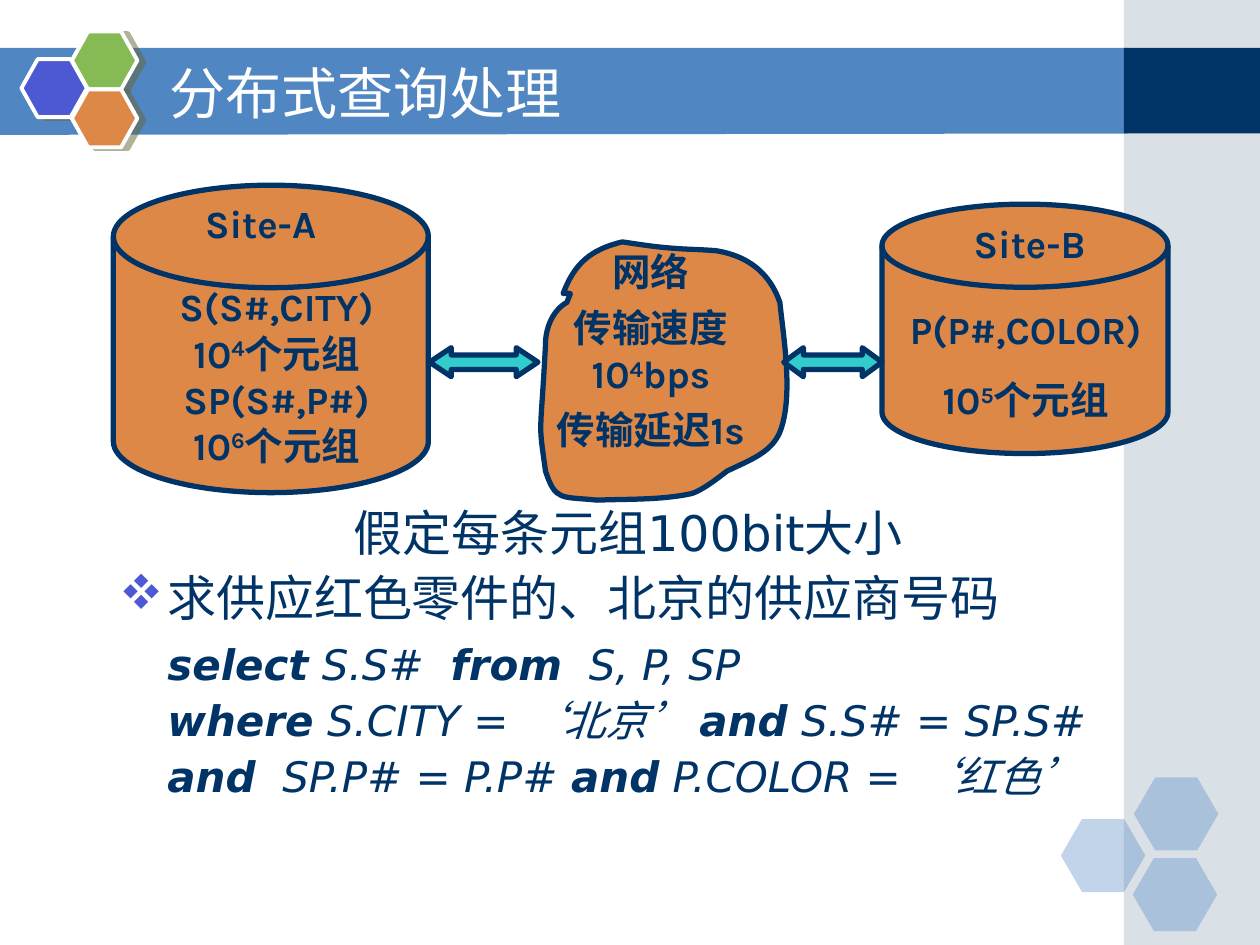
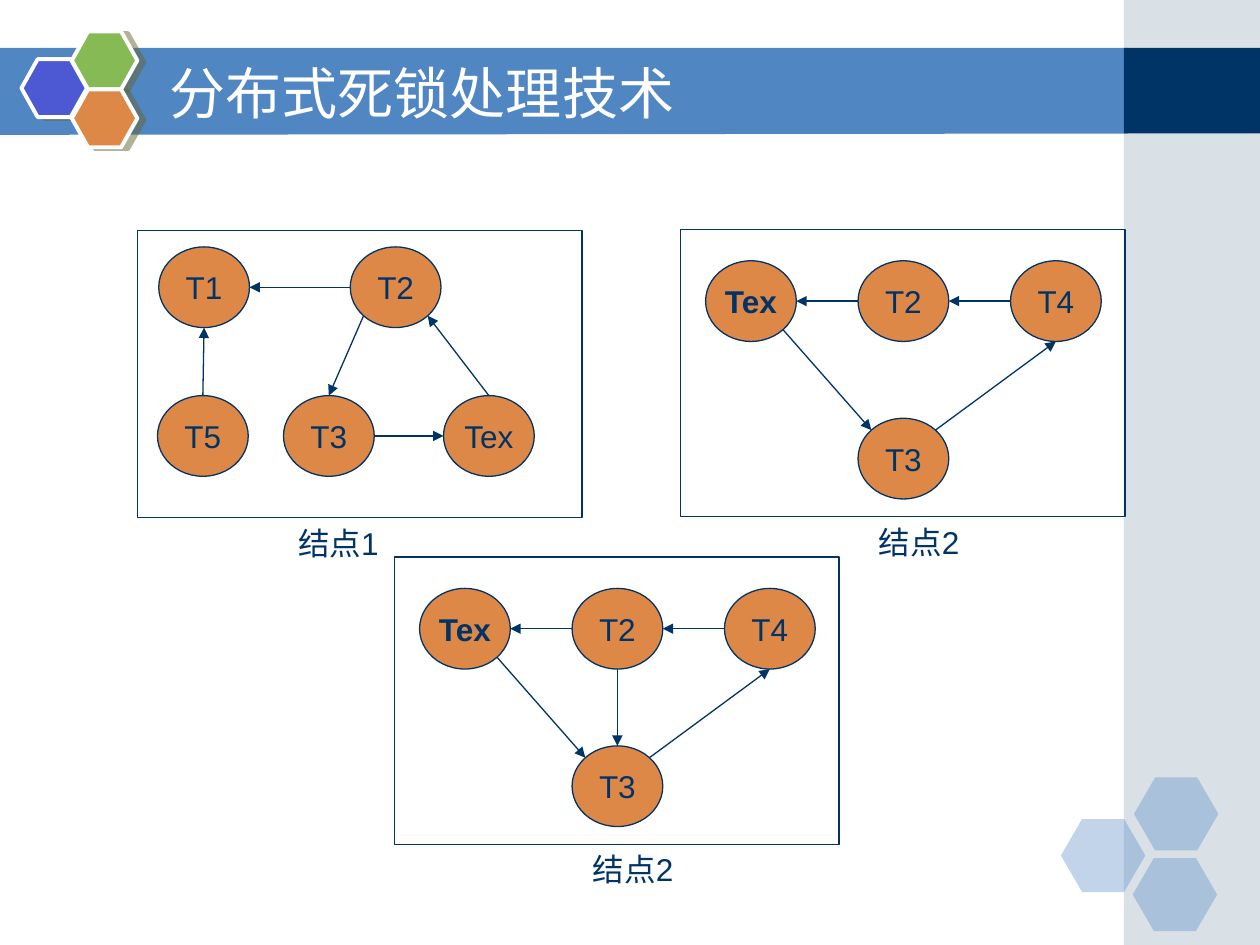
from lxml import etree
from pptx import Presentation
from pptx import util as u
from pptx.dml import color
from pptx.enum import lang, shapes, text
from pptx.oxml import ns

SHAPE = shapes.MSO_SHAPE
MIDDLE = text.MSO_ANCHOR.MIDDLE
CENTER = text.PP_ALIGN.CENTER
NAVY, BLUE, ORANGE, WHITE = "003366", "5086C2", "DE8848", "FFFFFF"
INDIGO, GREEN, TEAL, MIST, OLIVE = "4C59D2", "85BA54", "33CCCC", "A0B5C4", "666633"
NODE_W, NODE_H = 0.72, 0.64
DIAG = 0.5 ** 0.5
SITES = {"N": (0, -1), "E": (1, 0), "S": (0, 1), "W": (-1, 0),
         "NE": (DIAG, -DIAG), "SE": (DIAG, DIAG),
         "SW": (-DIAG, DIAG), "NW": (-DIAG, -DIAG)}


def rgb(value):
    return color.RGBColor.from_string(value)


def child(parent, tag, **attrs):
    return etree.SubElement(parent, ns.qn(tag), attrs)


class Deck:
    """Draws styled elements on the current slide."""

    def __init__(self):
        self.prs = Presentation()
        self.prs.slide_width, self.prs.slide_height = u.Inches(10), u.Inches(7.5)
        self.s = None

    def slide(self, title):
        self.s = self.prs.slides.add_slide(self.prs.slide_layouts[6])
        self.freeform([(-0.01, 0.38), (8.95, 0.38), (8.95, 1.06), (-0.01, 1.07)], BLUE)
        self.shape(SHAPE.RECTANGLE, (8.92, 0, 1.08, 7.5), MIST, alpha=40)
        self.shape(SHAPE.RECTANGLE, (8.92, 0.38, 1.08, 0.68), NAVY)
        for x, y in ((8.42, 6.5), (9, 6.17), (8.99, 6.81)):
            self.shape(SHAPE.HEXAGON, (x, y, 0.67, 0.58), BLUE, alpha=35, adj=[0.29])
        for x, y, fill in ((0.17, 0.47, INDIGO), (0.57, 0.25, GREEN), (0.57, 0.71, ORANGE)):
            sp = self.shape(SHAPE.HEXAGON, (x, y, 0.52, 0.46), fill, WHITE, 2.25, adj=[0.28])
            self.cast_shadow(sp)
        self.text((1.25, 0.42, 7.33, 0.62), [[(title, "")]], 32, "DejaVu Sans",
                  WHITE, anchor=MIDDLE)

    def paint(self, sp, fill=None, line=None, width=0.75, alpha=None):
        sp.shadow.inherit = False
        if fill:
            sp.fill.solid()
            sp.fill.fore_color.rgb = rgb(fill)
        else:
            sp.fill.background()
        if alpha:
            clr = sp.fill._xPr.find(".//" + ns.qn("a:srgbClr"))
            child(clr, "a:alpha", val=str(alpha * 1000))
        if line:
            sp.line.color.rgb = rgb(line)
            sp.line.width = u.Pt(width)
        else:
            sp.line.fill.background()
        return sp

    def shape(self, kind, box, fill=None, line=None, width=0.75, alpha=None, adj=()):
        sp = self.s.shapes.add_shape(kind, *map(u.Inches, box))
        for i, value in enumerate(adj):
            sp.adjustments[i] = value
        return self.paint(sp, fill, line, width, alpha)

    def cast_shadow(self, sp):
        effects = sp._element.spPr.find(ns.qn("a:effectLst"))
        shadow = child(effects, "a:outerShdw", dist=str(u.Pt(4.1)),
                       dir=str(14 * 60000), algn="ctr", rotWithShape="0")
        clr = child(shadow, "a:srgbClr", val=OLIVE)
        child(clr, "a:alpha", val="50000")

    def freeform(self, points, fill, line=None, width=0.75):
        pts = [(u.Inches(x), u.Inches(y)) for x, y in points]
        fb = self.s.shapes.build_freeform(*pts[0])
        fb.add_line_segments(pts[1:], close=False)
        sp = fb.convert_to_shape()
        child(sp._element.spPr.find(".//" + ns.qn("a:path")), "a:close")
        return self.paint(sp, fill, line, width)

    def curved(self, points, fill, line, width):
        sp = self.freeform(points, fill, line, width)
        segments = list(sp._element.spPr.iter(ns.qn("a:lnTo")))
        for i in range(0, len(segments), 3):
            curve = etree.Element(ns.qn("a:cubicBezTo"))
            segments[i].addprevious(curve)
            for segment in segments[i:i + 3]:
                curve.append(segment[0])
                segment.getparent().remove(segment)

    def arrow(self, start, end):
        cn = self.s.shapes.add_connector(shapes.MSO_CONNECTOR.STRAIGHT,
                                         *map(u.Inches, start + end))
        cn.line.color.rgb = rgb(NAVY)
        cn.line.width = u.Pt(0.75)
        child(cn.line._get_or_add_ln(), "a:tailEnd", type="triangle")
        child(cn._element.spPr, "a:effectLst")

    def text(self, box, paras, size, font, fill=NAVY, align=None, before=0, anchor=None):
        tf = self.s.shapes.add_textbox(*map(u.Inches, box)).text_frame
        tf.word_wrap = True
        if anchor:
            tf.vertical_anchor = anchor
        for i, runs in enumerate(paras):
            p = tf.add_paragraph() if i else tf.paragraphs[0]
            self.paragraph(p, runs, size, font, fill, align, before)
        return tf

    def paragraph(self, p, runs, size, font, fill=NAVY, align=None, before=0):
        p.alignment = align
        p.space_before = u.Pt(before)
        for words, marks in runs:
            r = p.add_run()
            r.text = words
            r.font.name, r.font.size = font, u.Pt(size)
            r.font.color.rgb = rgb(fill)
            r.font.bold, r.font.italic = "b" in marks, "i" in marks
            r.font.language_id = lang.MSO_LANGUAGE_ID.SIMPLIFIED_CHINESE
            if "^" in marks:
                r._r.get_or_add_rPr().set("baseline", "30000")

    def label(self, box, paras, align=CENTER, before=0):
        bold = [[(words, marks + "b") for words, marks in runs] for runs in paras]
        self.text(box, bold, 22, "Karla", align=align, before=before)

    def query(self, box, assumption, question, lines):
        tf = self.text(box, [[(assumption, "")]], 28, "DejaVu Sans", align=CENTER, before=3.5)
        self.paragraph(tf.add_paragraph(), [(question, "")], 28, "DejaVu Sans", before=7)
        for i, runs in enumerate(lines):
            self.paragraph(tf.add_paragraph(), runs, 24, "DejaVu Sans", before=6 if i else 10)
        for i, p in enumerate(tf.paragraphs):
            p.line_spacing = 0.9
            pPr = p._p.get_or_add_pPr()
            if i:
                pPr.set("marL", str(u.Inches(0.38)))
            if i == 1:
                pPr.set("indent", str(u.Inches(-0.38)))
                child(child(pPr, "a:buClr"), "a:srgbClr", val=INDIGO)
                child(pPr, "a:buFont", typeface="Wingdings", charset="2")
                child(pPr, "a:buChar", char="v")

    def node(self, x, y, name, bold):
        sp = self.shape(SHAPE.OVAL, (x, y, NODE_W, NODE_H), ORANGE, NAVY)
        tf = sp.text_frame
        tf.word_wrap = False
        tf.vertical_anchor = MIDDLE
        self.paragraph(tf.paragraphs[0], [(name, "b" if bold else "")], 18, "Arial",
                       align=CENTER)

    def wait_graph(self, left, top, nodes, edges, caption, caption_dx, bold=()):
        self.shape(SHAPE.RECTANGLE, (left, top, 3.53, 2.28), line=NAVY)
        for name, (x, y) in nodes.items():
            self.node(left + x, top + y, name, name in bold)

        def site(name, side):
            (x, y), (dx, dy) = nodes[name], SITES[side]
            return (left + x + NODE_W / 2 * (1 + dx), top + y + NODE_H / 2 * (1 + dy))

        for source, out, target, into in map(str.split, edges):
            self.arrow(site(source, out), site(target, into))
        self.text((left + caption_dx, top + 2.28, 2.13, 0.4), [[(caption, "")]], 18, "Arial",
                  align=CENTER, before=11.2)


def query_slide(d):
    d.slide("分布式查询处理")
    d.query((0.85, 3.99, 8.27, 2.73), "假定每条元组100bit大小",
            "求供应红色零件的、北京的供应商号码", [
                [("select", "bi"), (" S.S#  ", "i"), ("from", "bi"), ("  S, P, SP", "i")],
                [("where", "bi"), (" S.CITY = ‘北京’ ", "i"), ("and", "bi"),
                 (" S.S# = SP.S#", "i")],
                [("and", "bi"), ("  SP.P# = P.P# ", "i"), ("and", "bi"),
                 (" P.COLOR = ‘红色’", "i")]])

    for box in ((0.9, 1.47, 2.5, 2.44), (7, 1.62, 2.27, 1.98)):
        d.shape(SHAPE.FLOWCHART_MAGNETIC_DISK, box, ORANGE, NAVY, 3)
    d.label((1.53, 1.54, 1.17, 0.47), [[("Site-A", "")]], None, 13.8)
    d.label((7.63, 1.7, 1.17, 0.47), [[("Site-B", "")]], None, 13.8)
    d.label((1.14, 2.2, 2.11, 1.57), [
        [("S(S#,CITY)", "")],
        [("10", ""), ("4", "^"), ("个元组SP(S#,P#)", "")],
        [("10", ""), ("6", "^"), ("个元组", "")]])
    d.label((6.93, 2.38, 2.42, 1.03), [
        [("P(P#,COLOR)", "")],
        [("10", ""), ("5", "^"), ("个元组", "")]], before=13.8)

    d.curved([
        (4.47, 2.33),
        (4.56, 2.09), (4.69, 1.98), (4.94, 1.92),
        (5.07, 1.94), (5.2, 1.96), (5.33, 1.97),
        (5.45, 1.98), (5.56, 1.98), (5.68, 1.99),
        (5.94, 2.03), (6.11, 2.17), (6.19, 2.4),
        (6.22, 2.69), (6.3, 3.15), (6.19, 3.43),
        (6.12, 3.6), (5.93, 3.66), (5.77, 3.74),
        (5.73, 3.77), (5.57, 3.9), (5.48, 3.92),
        (5.24, 3.97), (4.99, 3.96), (4.74, 3.97),
        (4.45, 3.94), (4.41, 3.98), (4.33, 3.74),
        (4.27, 3.31), (4.29, 3.51), (4.33, 2.73),
        (4.33, 2.6), (4.39, 2.46), (4.5, 2.4),
        (4.53, 2.31), (4.55, 2.33), (4.47, 2.33)], ORANGE, NAVY, 3)
    for x, width, head in ((3.41, 0.86, 0.75), (6.22, 0.78, 0.68)):
        d.shape(SHAPE.LEFT_RIGHT_ARROW, (x, 2.76, width, 0.23), TEAL, NAVY, 3, adj=[0.5, head])
    d.label((4.19, 1.92, 1.95, 1.72), [
        [("网络", "")],
        [("传输速度10", ""), ("4", "^"), ("bps", "")],
        [("传输延迟1s", "")]], before=5.5)


def deadlock_slide(d):
    d.slide("分布式死锁处理技术")
    d.wait_graph(1.09, 1.83,
                 {"T1": (0.17, 0.13), "T2": (1.69, 0.13), "T5": (0.16, 1.31),
                  "T3": (1.16, 1.31), "Tex": (2.43, 1.31)},
                 ["T2 W T1 E", "T5 N T1 S", "T2 SW T3 N", "Tex N T2 SE", "T3 E Tex W"],
                 "结点1", 0.53)
    nodes = {"Tex": (0.2, 0.25), "T4": (2.62, 0.25), "T2": (1.41, 0.25), "T3": (1.41, 1.5)}
    edges = ["T4 W T2 E", "T2 W Tex E", "T3 NE T4 S", "Tex SE T3 NW"]
    d.wait_graph(5.4, 1.82, nodes, edges, "结点2", 0.83, ["Tex"])
    d.wait_graph(3.13, 4.42, nodes, edges + ["T2 S T3 N"], "结点2", 0.83, ["Tex"])


def main():
    d = Deck()
    query_slide(d)
    deadlock_slide(d)
    d.prs.save("out.pptx")


if __name__ == "__main__":
    main()
